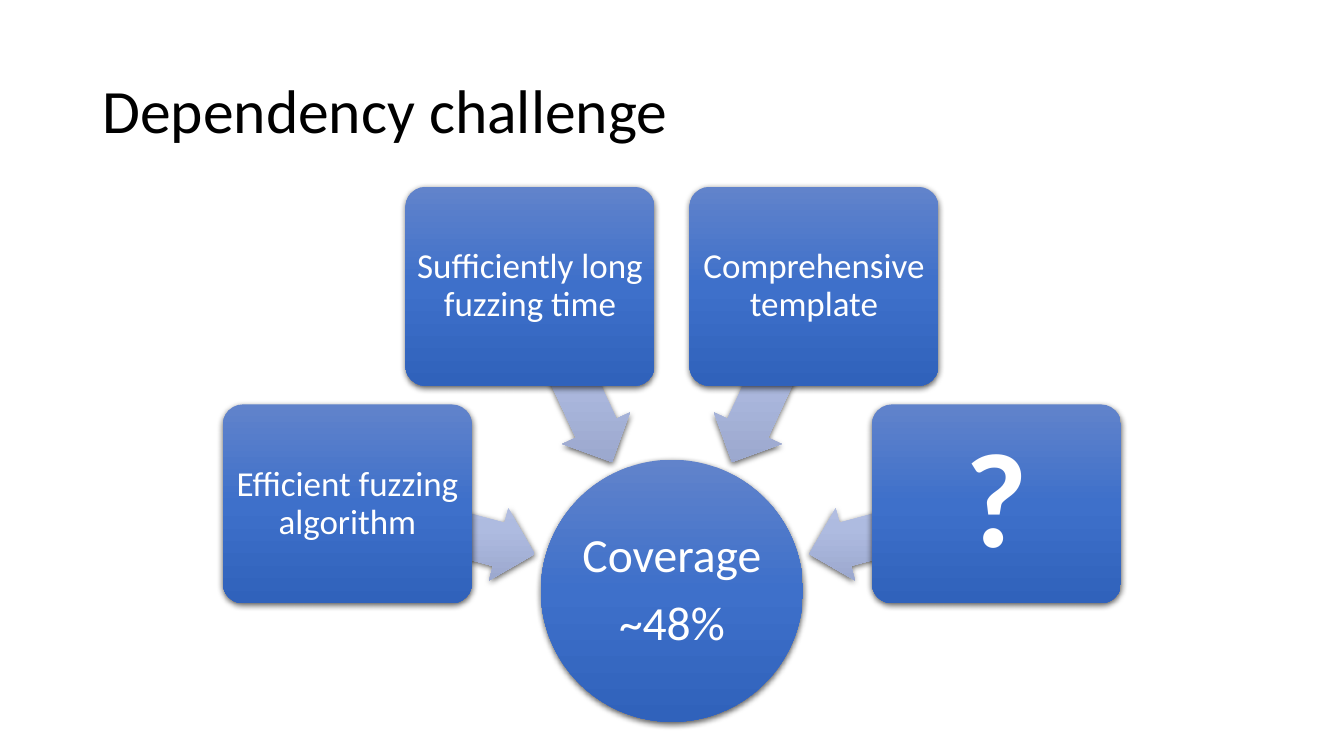
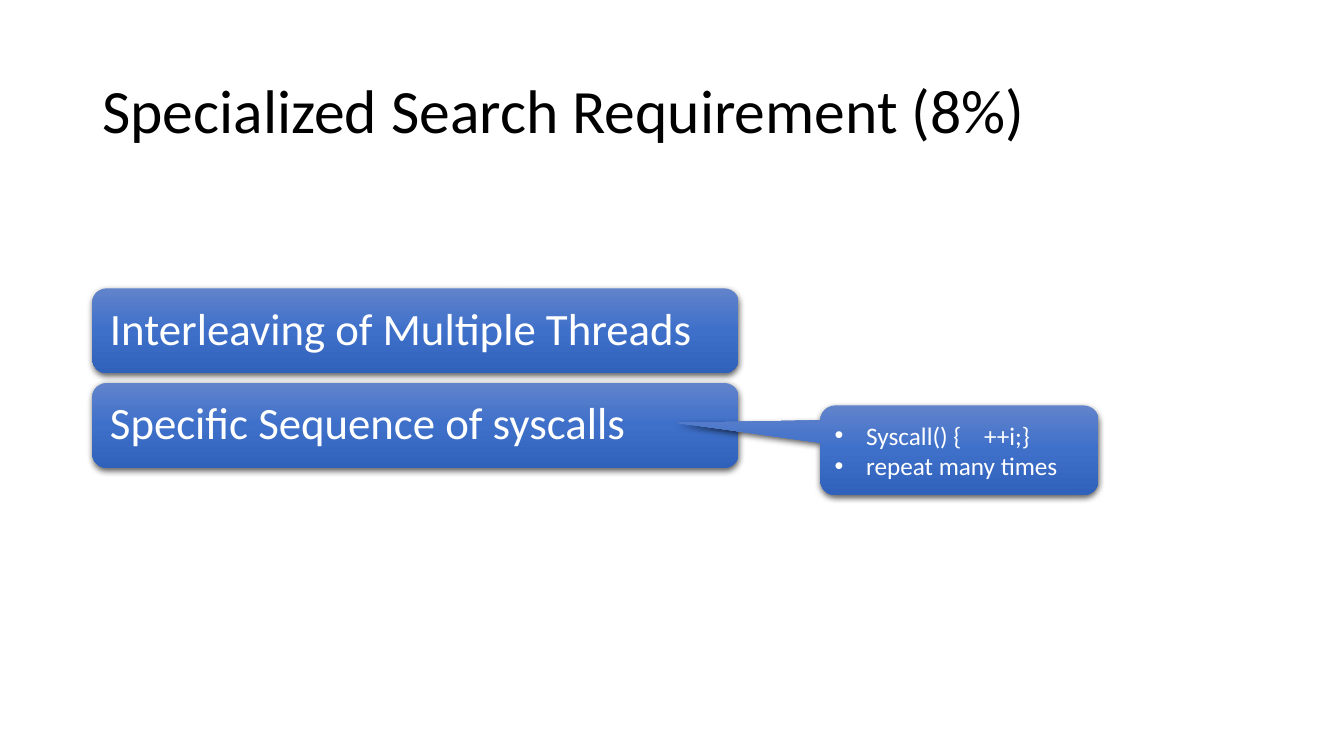
import copy
import dataclasses
import math

import lxml.etree
import pptx
import pptx.dml.color
import pptx.enum.shapes
import pptx.enum.text
import pptx.oxml.ns
import pptx.util

Pt = pptx.util.Pt
RGBColor = pptx.dml.color.RGBColor
Shape = pptx.enum.shapes.MSO_SHAPE
Align = pptx.enum.text.PP_ALIGN
Anchor = pptx.enum.text.MSO_ANCHOR
qn = pptx.oxml.ns.qn


@dataclasses.dataclass(frozen=True)
class Theme:
    font: str = "Calibri"
    title_color: str = "000000"
    text_color: str = "FFFFFF"
    shadow_color: str = "000000"
    blue: tuple = ("6183CB", "3E70CA", "3062BB")
    pale_blue: tuple = ("BBC5E3", "AEBBE0", "98A4CB")
    title_size: int = 44
    hub_size: int = 34
    bar_size: int = 32
    factor_size: int = 25
    question_size: int = 96
    note_size: int = 18
    tight_spacing: float = 0.9


THEME = Theme()


def set_values(target, values):
    for name, value in values.items():
        setattr(target, name, value)


def add_bullet(para, indent=22.5):
    properties = para._p.get_or_add_pPr()
    properties.set("marL", str(Pt(indent)))
    properties.set("indent", str(-Pt(indent)))
    lxml.etree.SubElement(properties, qn("a:buFont"), typeface="Arial")
    lxml.etree.SubElement(properties, qn("a:buChar"), char="•")


def write_text(shape, lines, size, color=THEME.text_color, align=Align.LEFT, inset=None,
               spacing=THEME.tight_spacing, gap=0, bold=False, bullets=False):
    """Fill a shape with one paragraph per line; gap separates the paragraphs."""
    frame = shape.text_frame
    set_values(frame, {"word_wrap": True, "vertical_anchor": Anchor.MIDDLE})
    if inset is not None:
        sides = ("left", "top", "right", "bottom")
        set_values(frame, {f"margin_{side}": Pt(inset) for side in sides})
    for index, line in enumerate(lines):
        para = frame.add_paragraph() if index else frame.paragraphs[0]
        set_values(para, {"alignment": align, "line_spacing": spacing,
                          "space_before": Pt(gap if index else 0)})
        if bullets:
            add_bullet(para)
        span = para.add_run()
        span.text = line
        set_values(span.font, {"name": THEME.font, "size": Pt(size), "bold": bold})
        span.font.color.rgb = RGBColor.from_string(color)


def apply_gradient(shape, colors):
    """Shade a shape from top to bottom, whatever its rotation."""
    shape.fill.gradient()
    shape.fill.gradient_angle = 270
    stop_list = shape._element.spPr.find(f".//{qn('a:gsLst')}")
    stop_list.getparent().set("rotWithShape", "0")
    stop_list.append(copy.deepcopy(stop_list[0]))
    for index, (stop, color) in enumerate(zip(shape.fill.gradient_stops, colors)):
        stop.position = index / (len(colors) - 1)
        stop.color.rgb = RGBColor.from_string(color)


def apply_shadow(shape):
    shape.shadow.inherit = False
    effects = shape._element.spPr.find(qn("a:effectLst"))
    shadow = lxml.etree.SubElement(
        effects, qn("a:outerShdw"), blurRad=str(Pt(4.5)), dist=str(Pt(1.5)),
        dir="5400000", algn="ctr", rotWithShape="0")
    color = lxml.etree.SubElement(shadow, qn("a:srgbClr"), val=THEME.shadow_color)
    lxml.etree.SubElement(color, qn("a:alpha"), val="63000")


def add_block(page, kind, left, top, width, height, colors=THEME.blue, adjustments=()):
    block = page.shapes.add_shape(kind, Pt(left), Pt(top), Pt(width), Pt(height))
    for index, value in enumerate(adjustments):
        block.adjustments[index] = value
    apply_gradient(block, colors)
    block.line.fill.background()
    apply_shadow(block)
    return block


def add_centred_block(page, kind, center, size, **options):
    left, top = (round(middle - length / 2, 2) for middle, length in zip(center, size))
    return add_block(page, kind, left, top, *size, **options)


def add_page(deck, title):
    page = deck.slides.add_slide(deck.slide_layouts[6])
    box = page.shapes.add_textbox(Pt(66), Pt(28.75), Pt(828), Pt(104.4))
    write_text(box, [title], THEME.title_size, THEME.title_color)
    return page


def point_around(center, radius, degrees):
    angle = math.radians(degrees)
    return (center[0] + radius * math.cos(angle), center[1] + radius * math.sin(angle))


def add_factor(page, hub_center, degrees, text, **text_options):
    """Place a box on the outer ring with an arrow towards the hub."""
    arrow = add_centred_block(
        page, Shape.LEFT_ARROW, point_around(hub_center, 171, degrees), (139, 53.3),
        colors=THEME.pale_blue, adjustments=(0.6, 0.5))
    arrow.rotation = degrees
    box = add_centred_block(
        page, Shape.ROUNDED_RECTANGLE, point_around(hub_center, 240, degrees),
        (177.8, 142), adjustments=(0.1,))
    options = {"size": THEME.factor_size, "inset": 3.6, "align": Align.CENTER}
    write_text(box, [text], **{**options, **text_options})


def build_dependency_page(deck):
    page = add_page(deck, "Dependency challenge")
    hub_center = (480, 422)
    hub = add_centred_block(page, Shape.OVAL, hub_center, (187.2, 187.2))
    write_text(hub, ["Coverage", "~48%"], THEME.hub_size, align=Align.CENTER,
               inset=1.5, gap=12)
    factors = [
        ("Efficient fuzzing algorithm", {}),
        ("Sufficiently long fuzzing time", {}),
        ("Comprehensive template", {}),
        ("?", {"size": THEME.question_size, "inset": 14.4, "bold": True}),
    ]
    for index, (text, options) in enumerate(factors):
        add_factor(page, hub_center, 195 + 50 * index, text, **options)


def build_search_page(deck):
    page = add_page(deck, "Specialized Search Requirement (8%)")
    bars = ["Interleaving of Multiple Threads", "Specific Sequence of syscalls"]
    for index, text in enumerate(bars):
        bar = add_block(page, Shape.ROUNDED_RECTANGLE, 66, 206 + 67.6 * index, 461.5, 60.5)
        write_text(bar, [text], THEME.bar_size, inset=9.6)
    callout = add_block(page, Shape.ROUNDED_RECTANGULAR_CALLOUT, 586, 289.6, 198.7, 64,
                        adjustments=(-1.015, -0.305, 0.167))
    write_text(callout, ["Syscall() {    ++i;}", "repeat many times"], THEME.note_size,
               spacing=1.0, bullets=True)


def main():
    deck = pptx.Presentation()
    set_values(deck, {"slide_width": Pt(960), "slide_height": Pt(540)})
    build_dependency_page(deck)
    build_search_page(deck)
    deck.save("out.pptx")


if __name__ == "__main__":
    main()
